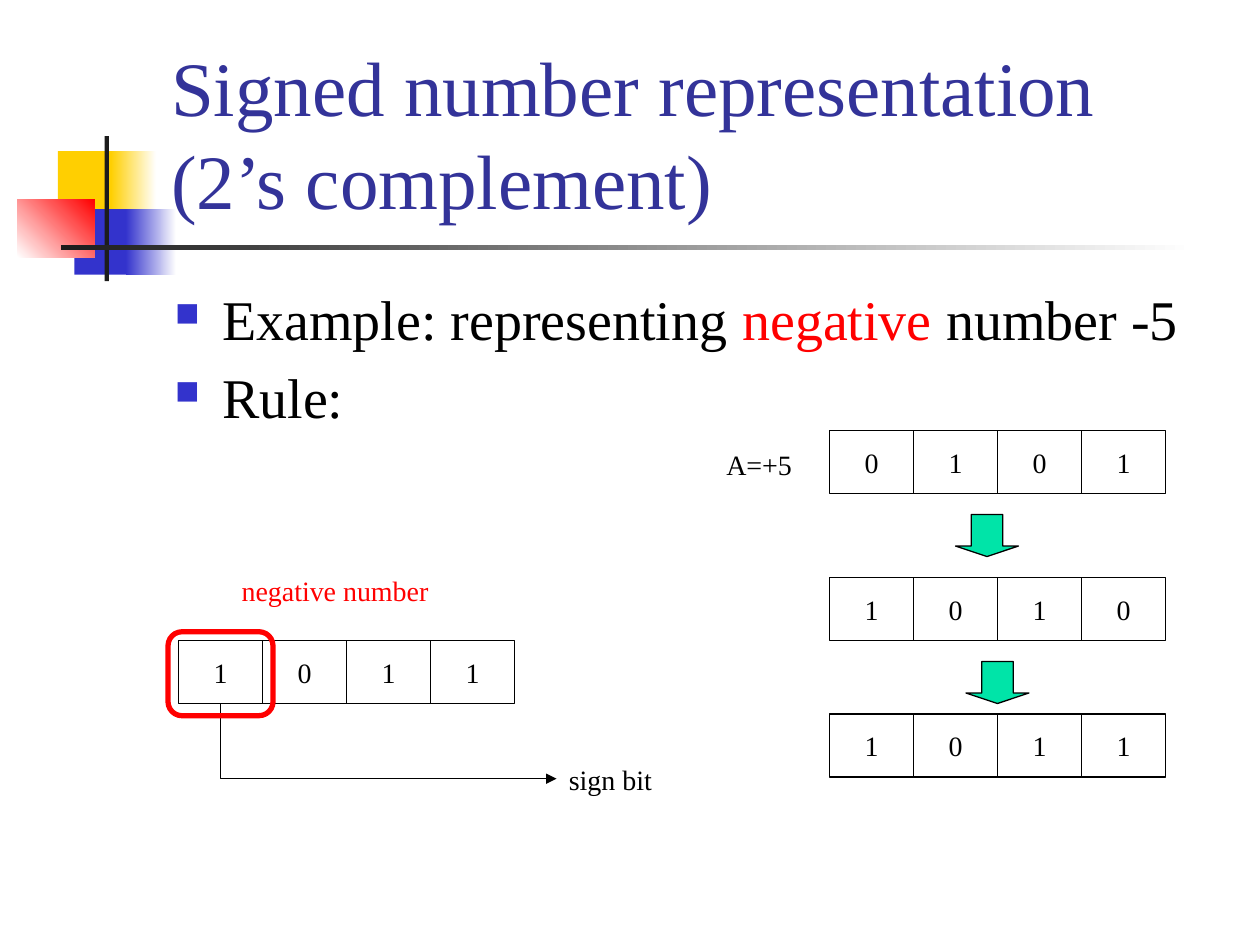
from lxml import etree
from pptx import Presentation
from pptx.dml.color import RGBColor
from pptx.enum.shapes import MSO_CONNECTOR, MSO_SHAPE
from pptx.enum.text import MSO_ANCHOR, PP_ALIGN
from pptx.oxml.ns import qn
from pptx.util import Pt

RECTANGLE = MSO_SHAPE.RECTANGLE
ROUNDED = MSO_SHAPE.ROUNDED_RECTANGLE
DOWN_ARROW = MSO_SHAPE.DOWN_ARROW
ELBOW = MSO_CONNECTOR.ELBOW
MIDDLE, BOTTOM, TOP = MSO_ANCHOR.MIDDLE, MSO_ANCHOR.BOTTOM, MSO_ANCHOR.TOP
CENTER, LEFT = PP_ALIGN.CENTER, PP_ALIGN.LEFT

BLACK = RGBColor(0, 0, 0)
WHITE = RGBColor(255, 255, 255)
RED = RGBColor(255, 0, 0)
YELLOW = RGBColor(0xFF, 0xCF, 0x01)
BLUE = RGBColor(0x33, 0x33, 0xCC)
TITLE_BLUE = RGBColor(0x33, 0x33, 0x99)
CHARCOAL = RGBColor(0x1C, 0x1C, 0x1C)
GREEN = RGBColor(0x00, 0xE4, 0xA8)

FONT = "Times New Roman"
CELL_WIDTH, CELL_HEIGHT = 48, 36

TITLE = "Signed number representation (2’s complement)"
BULLETS = [
    [("Example: representing ", BLACK), ("negative", RED), (" number -5", BLACK)],
    [("Rule:", BLACK)],
]
DECORATION = [
    ((33.1, 86.4, 34.6, 37.4), (YELLOW,), 0),
    ((63.4, 86.4, 25.9, 37.4), (YELLOW, WHITE), 0),
    ((42.5, 119.5, 33.1, 37.4), (BLUE,), 0),
    ((72, 119.5, 28.8, 37.4), (BLUE, WHITE), 0),
    ((10, 113.8, 44, 33.1), (WHITE, RED), 45),
    ((59.8, 77.8, 2.5, 82.8), (CHARCOAL,), 0),
    ((34.6, 140.2, 648, 2.5), (CHARCOAL, WHITE), 0),
]
BIT_ROWS = [
    (102, 366, "1011"),
    (474, 246, "0101"),
    (474, 330, "1010"),
    (474, 408, "1011"),
]
LABELS = [
    ("sign bit", (318, 432, 62, 26.6), BLACK),
    ("negative number", (131, 324, 121.7, 26.6), RED),
    ("A=+5", (408, 252, 52, 26.6), BLACK),
]
STEP_ARROWS = [(546, 294), (552, 378)]
SIGN_BIT_FRAME = (96, 361, 60, 48)


def add_shape(slide, kind, box, colors=(), angle=0, line=None, line_width=0.75):
    shape = slide.shapes.add_shape(kind, *map(Pt, box))
    shape.shadow.inherit = False
    if len(colors) == 2:
        shape.fill.gradient()
        shape.fill.gradient_angle = angle
        for stop, color, position in zip(shape.fill.gradient_stops, colors, (0, 1)):
            stop.color.rgb = color
            stop.position = position
    elif colors:
        shape.fill.solid()
        shape.fill.fore_color.rgb = colors[0]
    else:
        shape.fill.background()
    if line is None:
        shape.line.fill.background()
    else:
        shape.line.color.rgb = line
        shape.line.width = Pt(line_width)
    return shape


def write(shape, text, size, color, anchor=TOP, align=LEFT, wrap=False):
    frame = shape.text_frame
    frame.word_wrap = wrap
    frame.vertical_anchor = anchor
    paragraph = frame.paragraphs[0]
    paragraph.text = text
    paragraph.alignment = align
    paragraph.font.name = FONT
    paragraph.font.size = Pt(size)
    paragraph.font.color.rgb = color


def add_bullets(slide):
    frame = slide.shapes.add_textbox(*map(Pt, (92.9, 159, 612, 99.4))).text_frame
    frame.word_wrap = True
    for index, runs in enumerate(BULLETS):
        paragraph = frame.paragraphs[0] if index == 0 else frame.add_paragraph()
        properties = paragraph._p.get_or_add_pPr()
        properties.set("marL", str(Pt(27)))
        properties.set("indent", str(Pt(-27)))
        color = etree.SubElement(properties, qn("a:buClr"))
        etree.SubElement(color, qn("a:srgbClr"), val=str(BLUE))
        etree.SubElement(properties, qn("a:buSzPct"), val="60000")
        etree.SubElement(properties, qn("a:buChar"), char="■")
        paragraph.space_before = Pt(6.4 if index else 0)
        paragraph.font.name = FONT
        paragraph.font.size = Pt(32)
        for text, run_color in runs:
            run = paragraph.add_run()
            run.text = text
            run.font.color.rgb = run_color


def add_sign_bit_arrow(slide):
    start_x, start_y, end_x, end_y = 126, 402, 318, 445
    center_x, center_y = (start_x + end_x) / 2, (start_y + end_y) / 2
    half_width, half_height = (end_y - start_y) / 2, (end_x - start_x) / 2
    connector = slide.shapes.add_connector(
        ELBOW,
        Pt(center_x + half_width), Pt(center_y - half_height),
        Pt(center_x - half_width), Pt(center_y + half_height),
    )
    connector.line.color.rgb = BLACK
    connector.line.width = Pt(0.75)
    properties = connector._element.spPr
    properties.find(qn("a:xfrm")).set("rot", str(270 * 60000))
    properties.find(qn("a:prstGeom")).set("prst", "bentConnector2")
    etree.SubElement(properties.find(qn("a:ln")), qn("a:tailEnd"), type="triangle")
    etree.SubElement(properties, qn("a:effectLst"))


def main():
    presentation = Presentation()
    presentation.slide_width, presentation.slide_height = Pt(720), Pt(540)
    slide = presentation.slides.add_slide(presentation.slide_layouts[6])

    for box, colors, angle in DECORATION:
        add_shape(slide, RECTANGLE, box, colors, angle)

    title = slide.shapes.add_textbox(*map(Pt, (90.7, 16.6, 613.4, 115.2)))
    write(title, TITLE, 44, TITLE_BLUE, anchor=BOTTOM, wrap=True)
    add_bullets(slide)

    for left, top, bits in BIT_ROWS:
        for column, bit in enumerate(bits):
            box = (left + column * CELL_WIDTH, top, CELL_WIDTH, CELL_HEIGHT)
            cell = add_shape(slide, RECTANGLE, box, line=BLACK)
            write(cell, bit, 16, BLACK, anchor=MIDDLE, align=CENTER)

    add_sign_bit_arrow(slide)
    add_shape(slide, ROUNDED, SIGN_BIT_FRAME, line=RED, line_width=3)
    for text, box, color in LABELS:
        write(slide.shapes.add_textbox(*map(Pt, box)), text, 16, color)

    for left, top in STEP_ARROWS:
        arrow = add_shape(slide, DOWN_ARROW, (left, top, 36, 24), (GREEN,), line=BLACK)
        arrow.adjustments[0] = 0.5
        arrow.adjustments[1] = 0.25

    presentation.save("out.pptx")


if __name__ == "__main__":
    main()
